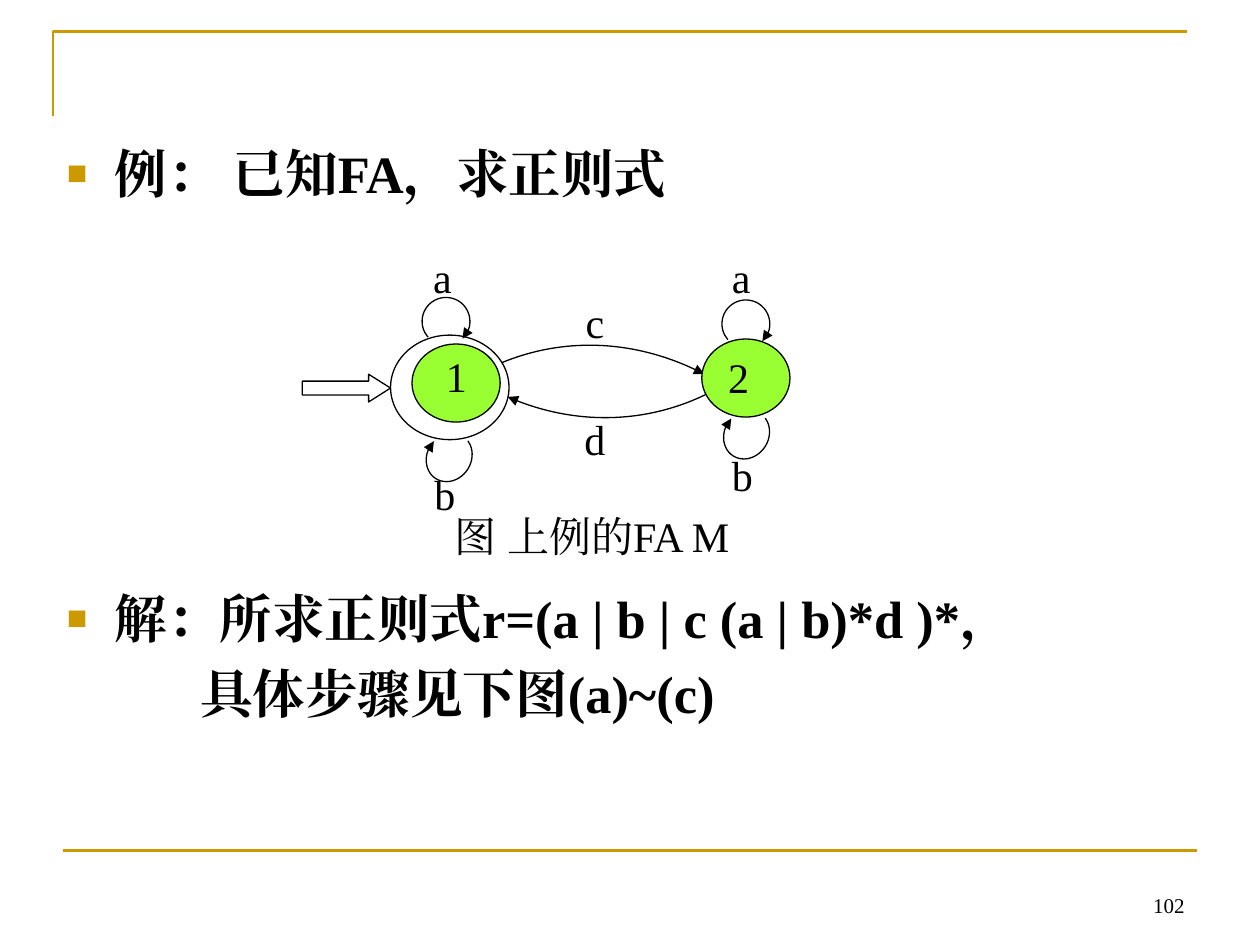
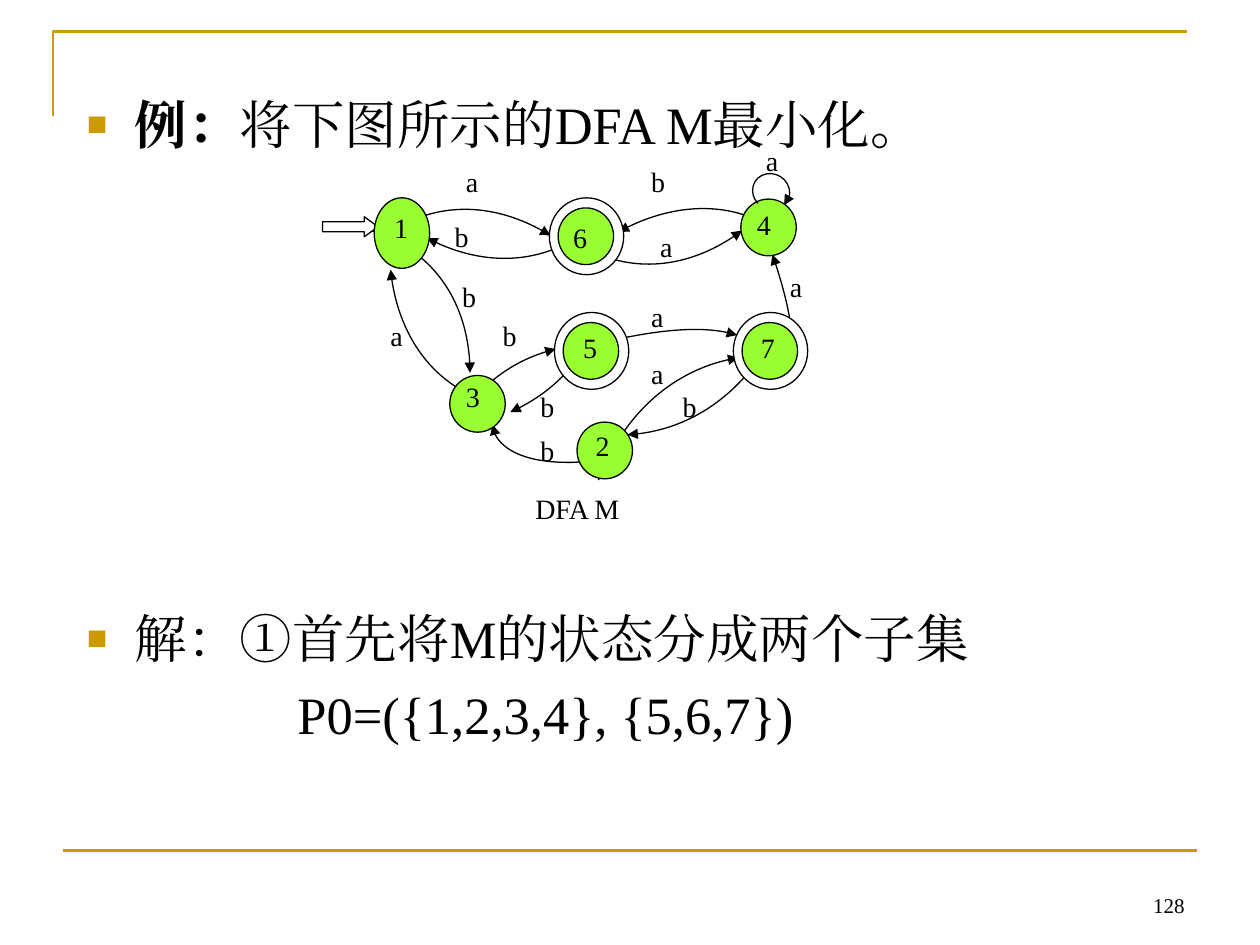
from dataclasses import dataclass

from pptx import Presentation
from pptx import util as u
from pptx.dml.color import RGBColor
from pptx.enum import shapes, text
from pptx.oxml.ns import qn
from lxml import etree

PX = 9144  # EMU, 100 px to the inch


@dataclass(frozen=True)
class Theme:
    gold: str = "CC9900"
    green: str = "99FF33"
    white: str = "FFFFFF"
    black: str = "000000"
    font: str = "Times New Roman"
    body_size: int = 30
    number_size: int = 12
    frame_width: float = 1.5
    edge_width: float = 0.75


@dataclass(frozen=True)
class Item:
    """One body paragraph; a margin means an unbulleted line set in by that much."""
    runs: list
    gap: int = 0
    margin: int = 0


def add_xml(parent, tag, **attributes):
    return etree.SubElement(parent, qn(tag), attributes)


class Deck:
    def __init__(self, theme):
        self.theme = theme
        self.presentation = Presentation()
        self.presentation.slide_width = 1000 * PX
        self.presentation.slide_height = 750 * PX
        self.slide = None

    def start_slide(self, number):
        self.slide = self.presentation.slides.add_slide(self.presentation.slide_layouts[1])
        title = self.slide.shapes.title._element
        title.getparent().remove(title)
        theme = self.theme
        corner = self.outline([(42, 92), (42, 25), (942, 25)])
        self.paint(corner, None, theme.gold, theme.frame_width)
        rule = self.slide.shapes.add_connector(
            shapes.MSO_CONNECTOR.STRAIGHT, 50 * PX, 675 * PX, 950 * PX, 675 * PX)
        rule.line.color.rgb = RGBColor.from_string(theme.gold)
        rule.line.width = u.Pt(theme.frame_width)
        add_xml(rule._element.spPr, "a:effectLst")
        frame = self.label(str(number), 717, 683, 233, 50, theme.number_size)
        frame.vertical_anchor = text.MSO_ANCHOR.BOTTOM
        frame.paragraphs[0].alignment = text.PP_ALIGN.RIGHT

    def style_run(self, run, size, bold=False):
        run.font.size = u.Pt(size)
        run.font.bold = bold
        run.font.color.rgb = RGBColor.from_string(self.theme.black)
        run.font.name = self.theme.font
        add_xml(run._r.get_or_add_rPr(), "a:ea", typeface=self.theme.font)

    def paint(self, shape, fill, line, width):
        shape.shadow.inherit = False
        if fill:
            shape.fill.solid()
            shape.fill.fore_color.rgb = RGBColor.from_string(fill)
        else:
            shape.fill.background()
        shape.line.color.rgb = RGBColor.from_string(line)
        shape.line.width = u.Pt(width)

    def body(self, left, top, height, items):
        body = self.slide.placeholders[1]
        body.left, body.top, body.width, body.height = (
            n * PX for n in (left, top, 900, height))
        frame = body.text_frame
        frame.auto_size = text.MSO_AUTO_SIZE.NONE
        frame.vertical_anchor = text.MSO_ANCHOR.TOP
        for index, item in enumerate(items):
            paragraph = frame.add_paragraph() if index else frame.paragraphs[0]
            properties = paragraph._p.get_or_add_pPr()
            hanging = 0 if item.margin else 38
            properties.set("marL", str((item.margin or hanging) * PX))
            properties.set("indent", str(-hanging * PX))
            if item.margin:
                add_xml(properties, "a:buNone")
            else:
                color = add_xml(properties, "a:buClr")
                add_xml(color, "a:srgbClr", val=self.theme.gold)
                add_xml(properties, "a:buSzPct", val="65000")
                add_xml(properties, "a:buChar", char="■")
            paragraph.space_before = u.Pt(item.gap)
            for words, bold in item.runs:
                run = paragraph.add_run()
                run.text = words
                self.style_run(run, self.theme.body_size, bold)

    def label(self, words, left, top, width, height, size):
        box = self.slide.shapes.add_textbox(*(n * PX for n in (left, top, width, height)))
        frame = box.text_frame
        frame.word_wrap = True
        frame.text = words
        self.style_run(frame.paragraphs[0].runs[0], size)
        return frame

    def labels(self, places, width, height, size):
        for words, left, top in places:
            self.label(words, left, top, width, height, size)

    def preset(self, kind, left, top, width, height, fill=None):
        shape = self.slide.shapes.add_shape(
            kind, *(n * PX for n in (left, top, width, height)))
        self.paint(shape, fill, self.theme.black, self.theme.edge_width)
        return shape

    def state(self, left, top, width, height, ring=None):
        """A state circle; ring is the box of the outer circle of a final state."""
        if ring:
            self.preset(shapes.MSO_SHAPE.OVAL, *ring, self.theme.white)
        self.preset(shapes.MSO_SHAPE.OVAL, left, top, width, height, self.theme.green)

    def start_arrow(self, left, top, width, height, head):
        arrow = self.preset(shapes.MSO_SHAPE.RIGHT_ARROW, left, top, width, height,
                            self.theme.white)
        arrow.adjustments[1] = head

    def arrowhead(self, shape):
        add_xml(shape._element.spPr.find(qn("a:ln")), "a:tailEnd", type="triangle")

    def loop(self, left, top, width, height, below=False):
        arc = self.preset(shapes.MSO_SHAPE.ARC, left, top, width, height)
        arc.adjustments[0], arc.adjustments[1] = 172.11, 116.72
        arc.rotation = 31.9 if below else 211.9
        self.arrowhead(arc)

    def outline(self, points):
        builder = self.slide.shapes.build_freeform(*points[0], scale=PX)
        builder.add_line_segments(points[1:], close=False)
        return builder.convert_to_shape()

    def transition(self, *points):
        """A curved arrow: a start, then two controls and an end for each Bezier part."""
        curve = self.outline(points)
        outline = next(curve._element.iter(qn("a:moveTo"))).getparent()
        segments = outline.findall(qn("a:lnTo"))
        for first in range(0, len(segments), 3):
            bezier = add_xml(outline, "a:cubicBezTo")
            for segment in segments[first:first + 3]:
                bezier.append(segment[0])
                outline.remove(segment)
        self.paint(curve, None, self.theme.black, self.theme.edge_width)
        self.arrowhead(curve)


def regular_expression_slide(deck):
    deck.start_slide(102)
    deck.body(43, 107, 495, [
        Item([("例： 已知FA，求正则式", True)]),
        Item([("解：所求正则式r=(a | b | c (a | b)*d )*，", True)], gap=218),
        Item([("具体步骤见下图(a)~(c)", True)], gap=7, margin=106),
    ])
    deck.label("图 上例的FA M", 351, 400, 400, 62, 24)
    deck.transition((606, 282), (604, 284), (601, 286), (599, 288),
                    (545, 333), (469, 344), (403, 315))
    deck.transition((348, 319), (356, 312), (365, 306), (374, 300),
                    (430, 267), (500, 266), (559, 297))
    deck.start_arrow(240, 297, 70, 22, 0.79)
    deck.state(557, 269, 70, 62)
    deck.state(327, 273, 70, 62, ring=(310, 266, 94, 83))
    deck.labels([("c", 455, 230), ("d", 454, 323), ("a", 571, 195), ("2", 568, 274),
                 ("b", 571, 352), ("1", 344, 273), ("a", 334, 195), ("b", 335, 367)],
                70, 62, 24)
    deck.loop(335, 236, 38, 38)
    deck.loop(573, 238, 38, 38)
    deck.loop(339, 343, 35, 40, below=True)
    deck.loop(575, 325, 35, 40, below=True)


def minimise_slide(deck):
    deck.start_slide(128)
    deck.body(59, 68, 598, [
        Item([("例：", True), ("将下图所示的DFA M最小化。", False)]),
        Item([("解：①首先将M的状态分成两个子集", False)], gap=258),
        Item([("P0=({1,2,3,4}, {5,6,7})", False)], gap=7, margin=167),
    ])
    transitions = [
        [(491, 269), (529, 261), (565, 259), (585, 266)],
        [(368, 327), (387, 301), (413, 284), (441, 277)],
        [(464, 278), (448, 300), (428, 317), (405, 327)],
        [(464, 366), (460, 367), (455, 367), (451, 367), (418, 367), (391, 354), (391, 337)],
        [(624, 278), (632, 276), (627, 242), (613, 202)],
        [(394, 321), (392, 320), (390, 320), (388, 319), (345, 306), (315, 265), (310, 214)],
        [(294, 183), (300, 185), (306, 187), (312, 190), (350, 209), (373, 249), (373, 296)],
        [(627, 191), (625, 190), (624, 189), (622, 187), (587, 160), (536, 159), (491, 184)],
        [(451, 188), (457, 192), (463, 196), (469, 199), (506, 217), (552, 211), (589, 183)],
        [(473, 176), (472, 178), (470, 179), (469, 180), (435, 209), (384, 213), (339, 189)],
        [(299, 193), (304, 188), (310, 184), (315, 181), (351, 160), (397, 162), (437, 187)],
        [(475, 381), (476, 379), (477, 377), (478, 374), (498, 326), (540, 291), (586, 284)],
        [(617, 257), (614, 264), (611, 271), (607, 278), (582, 317), (541, 343), (498, 345)],
    ]
    for points in transitions:
        deck.transition(*points)
    deck.start_arrow(256, 172, 44, 16, 0.68)
    deck.state(297, 157, 44, 56)
    for left, top in [(357, 298), (588, 158), (458, 335)]:
        deck.state(left, top, 44, 45)
    for left, top in [(443, 165), (589, 256), (447, 256)]:
        deck.state(left, top, 44, 45, ring=(left - 7, top - 8, 59, 61))
    states = [("1", 303, 162), ("2", 463, 335), ("3", 360, 296), ("4", 591, 160),
              ("5", 453, 257), ("6", 445, 170), ("7", 594, 257)]
    symbols = [("a", 360, 126), ("b", 419, 304), ("b", 351, 169), ("a", 507, 278),
               ("b", 357, 217), ("a", 300, 248), ("b", 419, 339), ("b", 389, 248),
               ("a", 617, 209), ("a", 514, 177), ("a", 507, 233), ("b", 507, 126),
               ("a", 598, 109), ("b", 532, 304)]
    deck.labels(states + symbols, 44, 45, 16)
    deck.label("DFA M", 415, 385, 167, 45, 16)
    deck.loop(597, 138, 30, 28)


def main():
    deck = Deck(Theme())
    regular_expression_slide(deck)
    minimise_slide(deck)
    deck.presentation.save("out.pptx")


if __name__ == "__main__":
    main()
